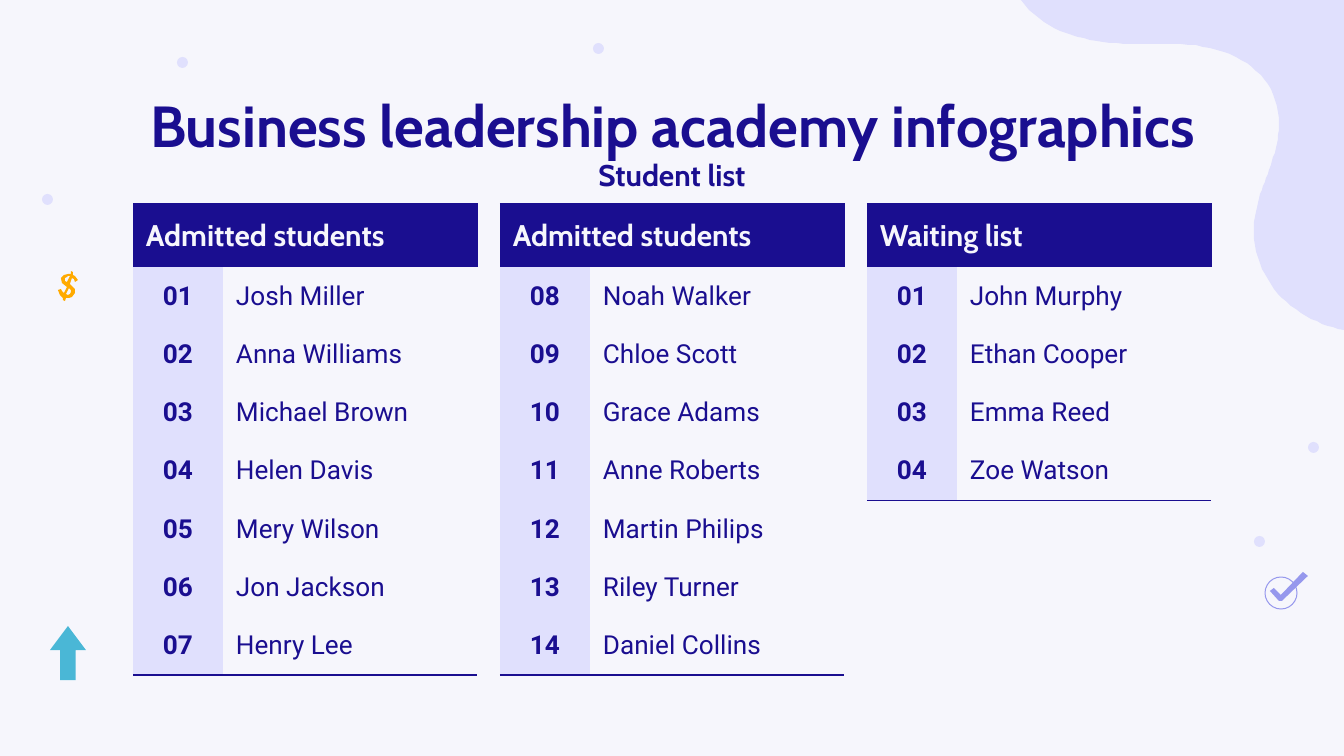
from dataclasses import dataclass

from lxml.etree import SubElement as Sub
from pptx import Presentation as Deck
from pptx.dml.color import RGBColor as Rgb
from pptx.enum.shapes import MSO_SHAPE as Kind
from pptx.enum.text import MSO_ANCHOR as Anchor, PP_ALIGN as Align
from pptx.oxml.ns import qn
from pptx.util import Emu, Pt

SCALE = 914400 / 134.4
WIDE, HIGH = 1344, 756
HUES = {
    "page": "F6F6FC", "ink": "1A0E90", "pale": "E0E0FD",
    "gold": "FFAA00", "sky": "4AB7D6", "mauve": "9698ED",
}
PLAIN = "{2D5ABB26-0587-4C30-8999-92F81FD0307C}"
Point = tuple[float, float]


@dataclass
class Roster:
    title: str
    first: int
    row: int
    names: list[str]


@dataclass
class Label:
    text: str
    size: int
    box: tuple[int, int, int, int]
    space: float


@dataclass
class Dot:
    x: int
    y: int


ROSTERS = [
    Roster("Admitted students", 1, 57, [
        "Josh Miller", "Anna Williams", "Michael Brown", "Helen Davis",
        "Mery Wilson", "Jon Jackson", "Henry Lee"]),
    Roster("Admitted students", 8, 58, [
        "Noah Walker", "Chloe Scott", "Grace Adams", "Anne Roberts",
        "Martin Philips", "Riley Turner", "Daniel Collins"]),
    Roster("Waiting list", 1, 58, [
        "John Murphy", "Ethan Cooper", "Emma Reed", "Zoe Watson"]),
]
LEFT, TOP, STEP, HEAD = 133, 204, 367, 63
COLS = (90, 254)
LABELS = [
    Label("Business leadership academy infographics", 31, (106, 66, 1133, 85), 1.15),
    Label("Student list", 16, (351, 144, 642, 59), 1),
]
DOTS = [Dot(47, 199), Dot(598, 48), Dot(182, 62), Dot(1259, 541), Dot(1313, 447)]
START = (1021, 0)
BENDS = [
    ((1052, 42), (1110, 46), (1165, 44)),
    ((1230, 42), (1280, 70), (1279, 125)),
    ((1278, 165), (1254, 190), (1254, 232)),
    ((1254, 285), (1300, 322), (1344, 330)),
]
DOLLAR = [
    [(71, 271), (71, 274), (68, 274), (64, 275), (61, 278), (62, 283), (67, 287),
     (64, 293), (62, 291), (61, 289), (58, 290), (60, 295), (63, 298), (63, 300),
     (65, 301), (66, 298), (69, 298), (72, 297), (75, 293), (75, 289), (70, 284),
     (72, 278), (74, 279), (75, 282), (78, 280), (75, 276), (73, 275), (73, 272)],
    [(68, 276), (70, 276), (67, 282), (65, 281), (65, 278), (67, 277)],
    [(69, 288), (71, 290), (71, 292), (70, 294), (68, 295), (66, 294)],
]
TICK = [(1270, 591), (1274, 588), (1281, 595), (1303, 572), (1308, 576),
        (1282, 601), (1279, 601)]


def px(size: float) -> Emu:
    return Emu(round(size * SCALE))


def hue(name: str) -> Rgb:
    return Rgb.from_string(HUES[name])


def paint(shape, name: str) -> None:
    shape.shadow.inherit = False
    shape.fill.solid()
    shape.fill.fore_color.rgb = hue(name)
    shape.line.fill.background()


def draw(slide, kind: Kind, box: tuple[int, int, int, int], name: str):
    shape = slide.shapes.add_shape(kind, *map(px, box))
    paint(shape, name)
    return shape


def trace(slide, loops: list[list[Point]], name: str) -> None:
    pen = slide.shapes.build_freeform(*loops[0][0], scale=SCALE)
    pen.add_line_segments(loops[0][1:], close=True)
    for loop in loops[1:]:
        pen.move_to(*loop[0])
        pen.add_line_segments(loop[1:], close=True)
    paint(pen.convert_to_shape(), name)


def curve(start: Point, bends: list[tuple[Point, Point, Point]]) -> list[Point]:
    points = [start]
    for bend in bends:
        knots = (points[-1], *bend)
        for i in range(1, 25):
            t = i / 24
            parts = ((1 - t) ** 3, 3 * t * (1 - t) ** 2, 3 * t * t * (1 - t), t ** 3)
            points.append(tuple(
                sum(p * k[axis] for p, k in zip(parts, knots)) for axis in (0, 1)))
    return points


def style(para, face: str, size: int, name: str, bold: bool) -> None:
    font = para.font
    font.name, font.size, font.bold = face, Pt(size), bold
    font.color.rgb = hue(name)


def write(slide, label: Label) -> None:
    frame = slide.shapes.add_textbox(*map(px, label.box)).text_frame
    frame.word_wrap = True
    frame.margin_left = frame.margin_right = px(13)
    frame.margin_top = frame.margin_bottom = px(13)
    para = frame.paragraphs[0]
    para.text, para.alignment, para.line_spacing = label.text, Align.CENTER, label.space
    style(para, "Cabin", label.size, "ink", True)


def edge(cell, sides: str) -> None:
    props = cell._tc.get_or_add_tcPr()
    for side in "LRTB":
        line = Sub(props, qn(f"a:ln{side}"), w=str(Pt(0.75)))
        if side in sides:
            fill = Sub(line, qn("a:solidFill"))
            Sub(fill, qn("a:srgbClr"), val=HUES["ink"])
        else:
            Sub(line, qn("a:noFill"))


def fill(cell, text: str, face: str, size: int, name: str, bold: bool,
         back: str = "") -> None:
    cell.vertical_anchor = Anchor.MIDDLE
    cell.margin_left = cell.margin_right = px(13)
    cell.margin_top = cell.margin_bottom = Pt(7.2)
    para = cell.text_frame.paragraphs[0]
    para.text = text
    style(para, face, size, name, bold)
    if back:
        cell.fill.solid()
        cell.fill.fore_color.rgb = hue(back)
    else:
        cell.fill.background()


def tabled(slide, left: int, roster: Roster) -> None:
    count = len(roster.names)
    box = (left, TOP, sum(COLS), HEAD + count * roster.row)
    table = slide.shapes.add_table(count + 1, 2, *map(px, box)).table
    table.first_row = table.horz_banding = False
    table._tbl.tblPr.find(qn("a:tableStyleId")).text = PLAIN
    for col, width in zip(table.columns, COLS):
        col.width = px(width)
    for i, row in enumerate(table.rows):
        row.height = px(roster.row if i else HEAD)
        for cell in row.cells:
            edge(cell, "B" if i else "TRB")
    head = table.cell(0, 0)
    head.merge(table.cell(0, 1))
    fill(head, roster.title, "Cabin", 16, "page", True, "ink")
    for i, name in enumerate(roster.names):
        mark = table.cell(i + 1, 0)
        fill(mark, f"{roster.first + i:02}", "Roboto", 14, "ink", True, "pale")
        mark.text_frame.paragraphs[0].alignment = Align.CENTER
        fill(table.cell(i + 1, 1), name, "Roboto", 14, "ink", False)


def main() -> None:
    deck = Deck()
    deck.slide_width, deck.slide_height = px(WIDE), px(HIGH)
    slide = deck.slides.add_slide(deck.slide_layouts[6])
    back = slide.background.fill
    back.solid()
    back.fore_color.rgb = hue("page")

    trace(slide, [curve(START, BENDS) + [(WIDE, 0)]], "pale")
    for dot in DOTS:
        draw(slide, Kind.OVAL, (dot.x - 5, dot.y - 5, 11, 11), "pale")
    trace(slide, DOLLAR, "gold")
    ring = draw(slide, Kind.OVAL, (1265, 577, 32, 32), "page")
    ring.line.color.rgb = hue("mauve")
    ring.line.width = px(1)
    trace(slide, [TICK], "mauve")
    arrow = draw(slide, Kind.UP_ARROW, (50, 626, 36, 54), "sky")
    arrow.adjustments[0], arrow.adjustments[1] = 0.43, 0.67

    for label in LABELS:
        write(slide, label)
    for i, roster in enumerate(ROSTERS):
        tabled(slide, LEFT + i * STEP, roster)
    deck.save("out.pptx")


if __name__ == "__main__":
    main()
